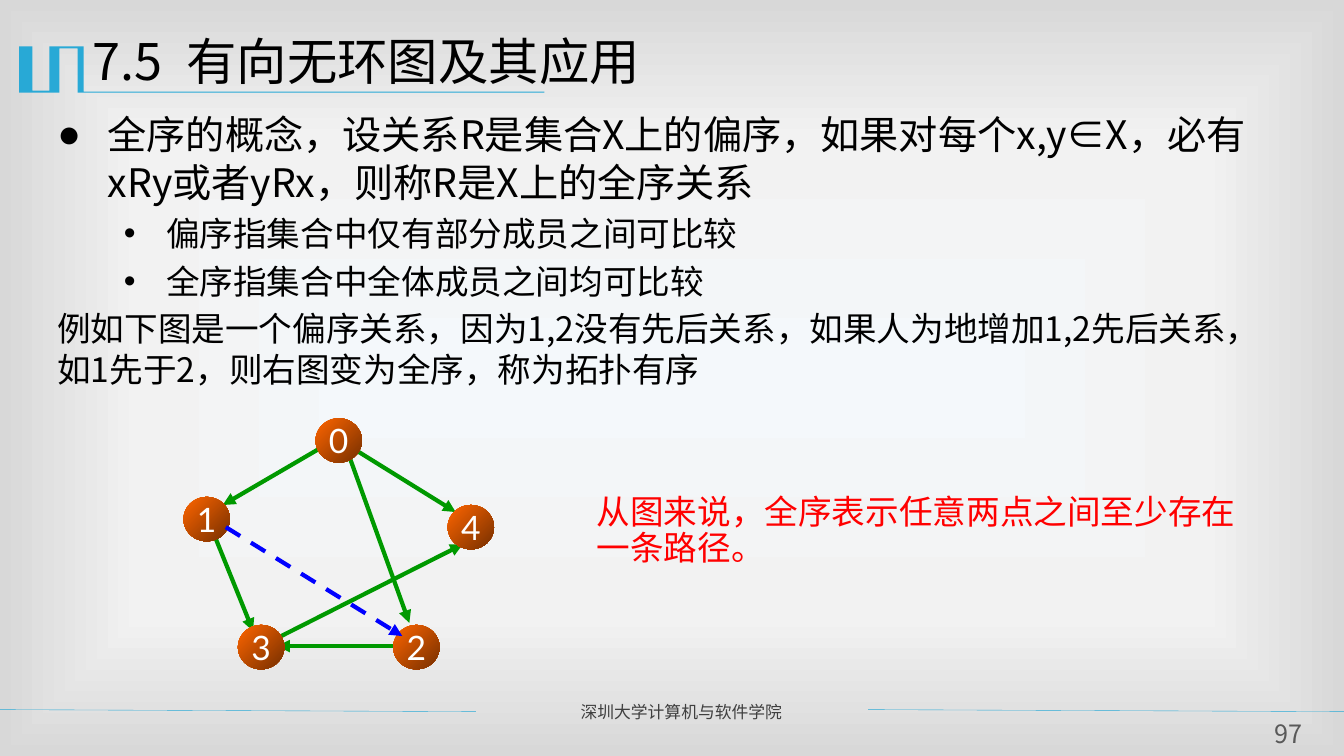
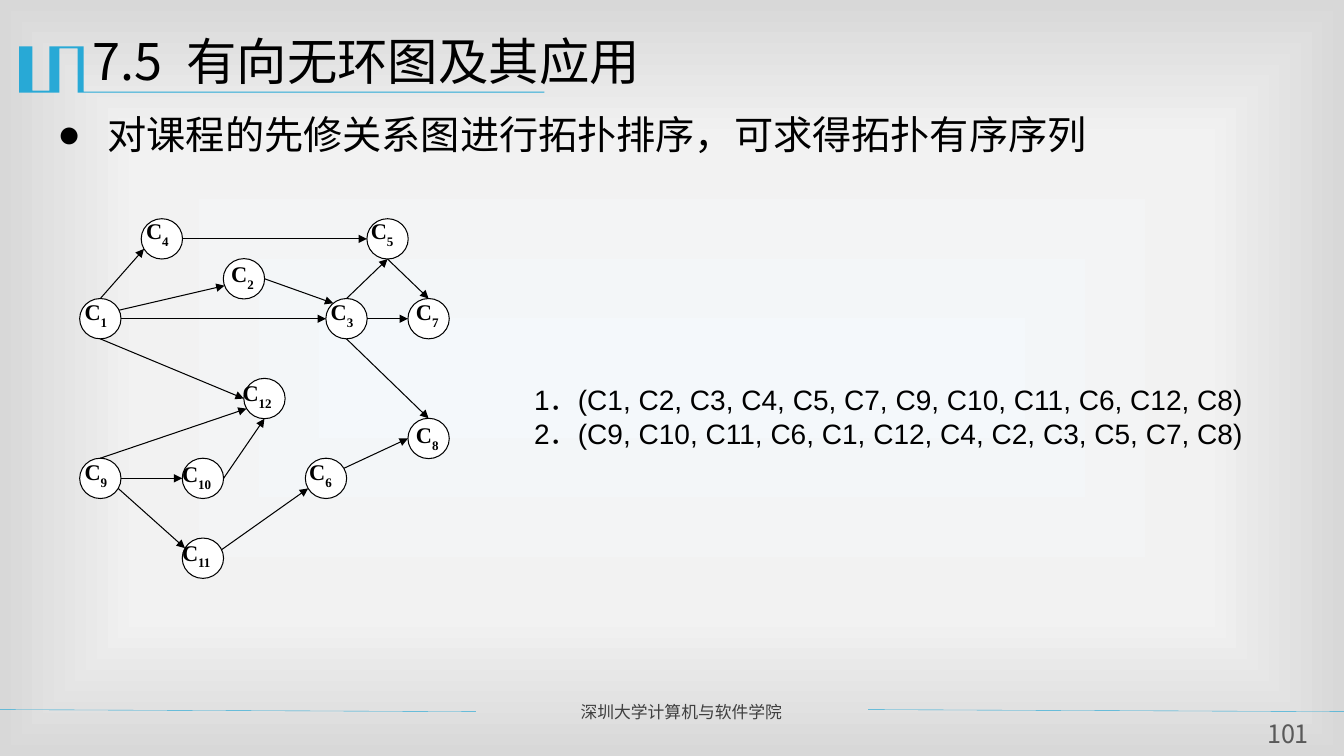
from math import cos, radians, sin

from lxml.etree import SubElement
from pptx import Presentation
from pptx.dml.color import RGBColor
from pptx.enum.dml import MSO_LINE
from pptx.enum.shapes import MSO_CONNECTOR, MSO_SHAPE
from pptx.enum.text import MSO_ANCHOR, PP_ALIGN
from pptx.oxml import parse_xml
from pptx.oxml.ns import nsdecls, qn
from pptx.util import Pt

PX = 9144  # EMU per px, 100 px to the inch
SANS = "Noto Sans CJK SC"
ACCENT, BLACK, WHITE = "28A9D6", "000000", "FFFFFF"
GREEN, BLUE, RED = "009900", "0000FF", "FF0000"
GREY, DARK_GREY = "595959", "3F3F3F"
BACKGROUND_STOPS = [(0, "F4F8FB"), (63, "F2F2F2"), (100, "D8D8D8")]
NODE_STOPS = ["FF6600", "762F00"]

TITLE = "7.5\t有向无环图及其应用"
FOOTER = "深圳大学计算机与软件学院"
TITLE_MARK = [
    (82, 46), (83, 46), (83, 91), (540, 91), (540, 92), (77, 92), (77, 48), (59, 48),
    (59, 92), (19, 92), (19, 46), (32, 46), (32, 90), (49, 90), (49, 46),
]
FOOTER_RULES = [(-1, 472), (861, 1333)]

# level: (bullet, left margin, hanging indent, text size)
LEVELS = {
    "point": ("●", 50, 50, 28),
    "detail": ("•", 108, 42, 24),
    "plain": (None, 0, 0, 24),
}
ORDER_TEXT = [
    ("point", "全序的概念，设关系R是集合X上的偏序，如果对每个x,y∈X，必有xRy或者yRx，则称R是X上的全序关系"),
    ("detail", "偏序指集合中仅有部分成员之间可比较"),
    ("detail", "全序指集合中全体成员之间均可比较"),
    ("plain", "例如下图是一个偏序关系，因为1,2没有先后关系，如果人为地增加1,2先后关系，如1先于2，则右图变为全序，称为拓扑有序"),
]
PATH_REMARK = "从图来说，全序表示任意两点之间至少存在一条路径。"
ORDER_NODES = {"1": (182, 493), "2": (390, 620), "3": (236, 620), "4": (444, 501), "0": (313, 415)}
ORDER_EDGES = [
    ((352, 446), (452, 508)),
    ((213, 532), (251, 626)),
    ((329, 438), (221, 501)),
    ((344, 446), (406, 618)),
    ((390, 641), (275, 641)),
    ((275, 633), (459, 540)),
]
ADDED_EDGE = ((224, 523), (399, 631))

COURSE_TEXT = [("point", "对课程的先修关系图进行拓扑排序，可求得拓扑有序序列")]
# course number: (grid column, grid row, label shift from the circle)
COURSES = {
    4: (3, 0, (-5, -4)), 2: (7, 1, (-2, -1)), 5: (14, 0, (-6, -4)), 3: (12, 2, (-5, -3)),
    7: (16, 2, (-2, -3)), 9: (0, 6, (-5, -3)), 10: (5, 6, (-10, -1)), 12: (8, 4, (-11, -2)),
    11: (5, 8, (-10, -2)), 1: (0, 2, (-5, -3)), 8: (16, 5, (-2, 0)), 6: (11, 6, (-6, -3)),
}
# course, angle it leaves at, next course, angle it arrives at (clockwise from the right)
PREREQUISITES = [
    (3, 270, 5, 90), (5, 90, 7, 270), (10, 0, 12, 90), (1, 90, 12, 180), (9, 0, 10, 180),
    (9, 30, 11, 210), (11, 335, 6, 150), (2, 0, 3, 230), (6, 330, 8, 180), (3, 0, 7, 180),
    (1, 335, 2, 160), (4, 0, 5, 180), (1, 270, 4, 150), (1, 0, 3, 180), (3, 90, 8, 270),
    (9, 270, 12, 150),
]
SEQUENCES = [
    "1．(C1, C2, C3, C4, C5, C7, C9, C10, C11, C6, C12, C8)",
    "2．(C9, C10, C11, C6, C1, C12, C4, C2, C3, C5, C7, C8)",
]
GRID_LEFT, GRID_TOP, COLUMN_STEP, ROW_STEP = 79, 217, 20.35, 39.6
COURSE_SIZE = (41, 40)


def px(value):
    return round(value * PX)


def color(hex_text):
    return RGBColor.from_string(hex_text)


def set_background(master):
    """Give every slide a gradient that runs from the centre to the edges."""
    stops = "".join(
        f'<a:gs pos="{position * 1000}"><a:srgbClr val="{value}"/></a:gs>'
        for position, value in BACKGROUND_STOPS
    )
    fill = master.background.fill
    fill.gradient()
    gradient = master._element.find(".//" + qn("p:bgPr")).find(qn("a:gradFill"))
    gradient.getparent().replace(gradient, parse_xml(
        f'<a:gradFill {nsdecls("a")} rotWithShape="1"><a:gsLst>{stops}</a:gsLst><a:path path="rect">'
        '<a:fillToRect l="50000" t="50000" r="50000" b="50000"/></a:path></a:gradFill>'
    ))


def add_run(paragraph, text, size, font=SANS, ink=BLACK, bold=False):
    run = paragraph.add_run()
    run.text = text
    run.font.size, run.font.name, run.font.bold = Pt(size), font, bold
    run.font.color.rgb = color(ink)
    east_asian = SANS if font != "Times New Roman" else font
    SubElement(run._r.get_or_add_rPr(), qn("a:ea")).set("typeface", east_asian)
    return run


def add_box(slide, left, top, width, height, inset=(10, 5), anchor=MSO_ANCHOR.TOP, wrap=True):
    box = slide.shapes.add_textbox(px(left), px(top), px(width), px(height))
    set_frame(box.text_frame, inset, anchor, wrap)
    return box.text_frame


def set_frame(frame, inset, anchor, wrap):
    frame.margin_left = frame.margin_right = px(inset[0])
    frame.margin_top = frame.margin_bottom = px(inset[1])
    frame.vertical_anchor, frame.word_wrap = anchor, wrap


def add_line(slide, start, end, ink, width, arrow=False, dash=None):
    line = slide.shapes.add_connector(MSO_CONNECTOR.STRAIGHT, *map(px, (*start, *end)))
    line.line.color.rgb, line.line.width = color(ink), Pt(width)
    if dash:
        line.line.dash_style = dash
    if arrow:
        SubElement(line.line._get_or_add_ln(), qn("a:tailEnd")).set("type", "triangle")
    SubElement(line._element.spPr, qn("a:effectLst"))


def add_circle(slide, left, top, width, height):
    circle = slide.shapes.add_shape(MSO_SHAPE.OVAL, px(left), px(top), px(width), px(height))
    circle.shadow.inherit = False
    return circle


def set_indent(paragraph, margin, hanging, bullet=None):
    properties = paragraph._p.get_or_add_pPr()
    properties.set("marL", str(px(margin)))
    properties.set("indent", str(px(-hanging)))
    if bullet:
        SubElement(properties, qn("a:buFont")).set("typeface", "Arial")
        SubElement(properties, qn("a:buChar")).set("char", bullet)


def add_body(slide, items, height):
    frame = add_box(slide, 47, 104, 1213, height)
    for index, (level, text) in enumerate(items):
        bullet, margin, hanging, size = LEVELS[level]
        paragraph = frame.add_paragraph() if index else frame.paragraphs[0]
        set_indent(paragraph, margin, hanging, bullet)
        paragraph.line_spacing = Pt(size * 1.22)
        if index:
            paragraph.space_before = Pt(size * 0.2)
        add_run(paragraph, text, size)


def add_base_slide(presentation, number):
    slide = presentation.slides.add_slide(presentation.slide_layouts[6])
    builder = slide.shapes.build_freeform(*TITLE_MARK[0], scale=PX)
    builder.add_line_segments(TITLE_MARK[1:], close=True)
    mark = builder.convert_to_shape()
    mark.shadow.inherit = False
    mark.fill.solid()
    mark.fill.fore_color.rgb = color(ACCENT)
    mark.line.fill.background()
    for left, right in FOOTER_RULES:
        add_line(slide, (left, 704), (right, 706), ACCENT, 0.25)
    add_run(add_box(slide, 566, 691, 285, 30).paragraphs[0], FOOTER, 12, ink=DARK_GREY)

    title = add_box(slide, 82, 24, 1200, 87).paragraphs[0]
    tabs = SubElement(title._p.get_or_add_pPr(), qn("a:tabLst"))
    SubElement(tabs, qn("a:tab"), pos=str(px(93)), algn="l")
    title.line_spacing = Pt(44)
    add_run(title, TITLE, 36)

    page = add_box(slide, 1248, 713, 59, 31, inset=(0, 0)).paragraphs[0]
    page.alignment = PP_ALIGN.CENTER
    add_run(page, str(number), 18, ink=GREY)
    return slide


def add_order_slide(presentation):
    slide = add_base_slide(presentation, 97)
    add_body(slide, ORDER_TEXT, 300)
    for start, end in ORDER_EDGES:
        add_line(slide, start, end, GREEN, 3, arrow=True)
    for name, (left, top) in ORDER_NODES.items():
        node = add_circle(slide, left, top, 46, 44)
        node.fill.gradient()
        node.fill.gradient_angle = 315
        for stop, value in zip(node.fill.gradient_stops, NODE_STOPS):
            stop.color.rgb = color(value)
        node.line.fill.background()
        set_frame(node.text_frame, (0, 5), MSO_ANCHOR.MIDDLE, False)
        paragraph = node.text_frame.paragraphs[0]
        paragraph.alignment = PP_ALIGN.CENTER
        add_run(paragraph, name, 24, "Lato", WHITE)
    add_line(slide, *ADDED_EDGE, BLUE, 3, arrow=True, dash=MSO_LINE.DASH)
    remark = add_box(slide, 582, 486, 667, 92).paragraphs[0]
    remark.line_spacing = Pt(26)
    add_run(remark, PATH_REMARK, 24, ink=RED)


def course_corner(course):
    column, row, _ = COURSES[course]
    return GRID_LEFT + column * COLUMN_STEP, GRID_TOP + row * ROW_STEP


def rim_point(course, angle):
    """Point on the rim of a course circle at a clockwise angle."""
    left, top = course_corner(course)
    radius_x, radius_y = COURSE_SIZE[0] / 2, COURSE_SIZE[1] / 2
    turn = radians(angle)
    return left + radius_x * (1 + cos(turn)), top + radius_y * (1 + sin(turn))


def add_course_slide(presentation):
    slide = add_base_slide(presentation, 101)
    add_body(slide, COURSE_TEXT, 198)
    for course in COURSES:
        circle = add_circle(slide, *course_corner(course), *COURSE_SIZE)
        circle.fill.solid()
        circle.fill.fore_color.rgb = color(WHITE)
        circle.line.color.rgb, circle.line.width = color(BLACK), Pt(0.75)
    for course, leave, following, arrive in PREREQUISITES:
        add_line(slide, rim_point(course, leave), rim_point(following, arrive), BLACK, 0.75, arrow=True)
    for course, (_, _, shift) in COURSES.items():
        left, top = course_corner(course)
        width = 48 if course < 10 else 56
        frame = add_box(slide, left + shift[0], top + shift[1], width, 37, anchor=MSO_ANCHOR.MIDDLE)
        for text, baseline in (("C", 0), (str(course), -30000)):
            run = add_run(frame.paragraphs[0], text, 16, "Times New Roman", bold=True)
            run._r.get_or_add_rPr().set("baseline", str(baseline))
    frame = add_box(slide, 520, 375, 739, 77)
    for index, sequence in enumerate(SEQUENCES):
        paragraph = frame.add_paragraph() if index else frame.paragraphs[0]
        set_indent(paragraph, 67, 67)
        add_run(paragraph, sequence, 20, "Arial")


def main():
    presentation = Presentation()
    presentation.slide_width, presentation.slide_height = px(1333), px(750)
    set_background(presentation.slide_master)
    add_order_slide(presentation)
    add_course_slide(presentation)
    presentation.save("out.pptx")


if __name__ == "__main__":
    main()
